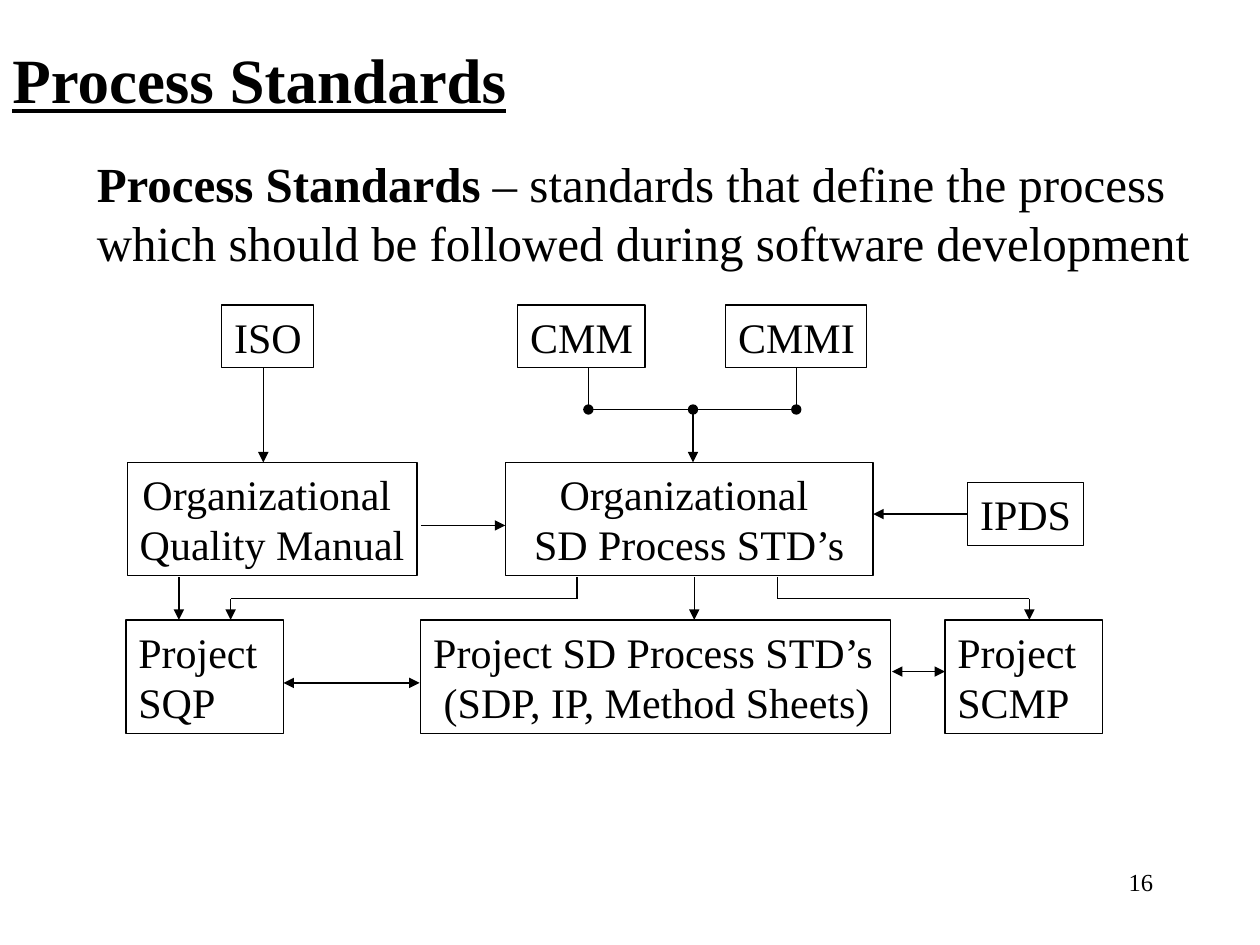
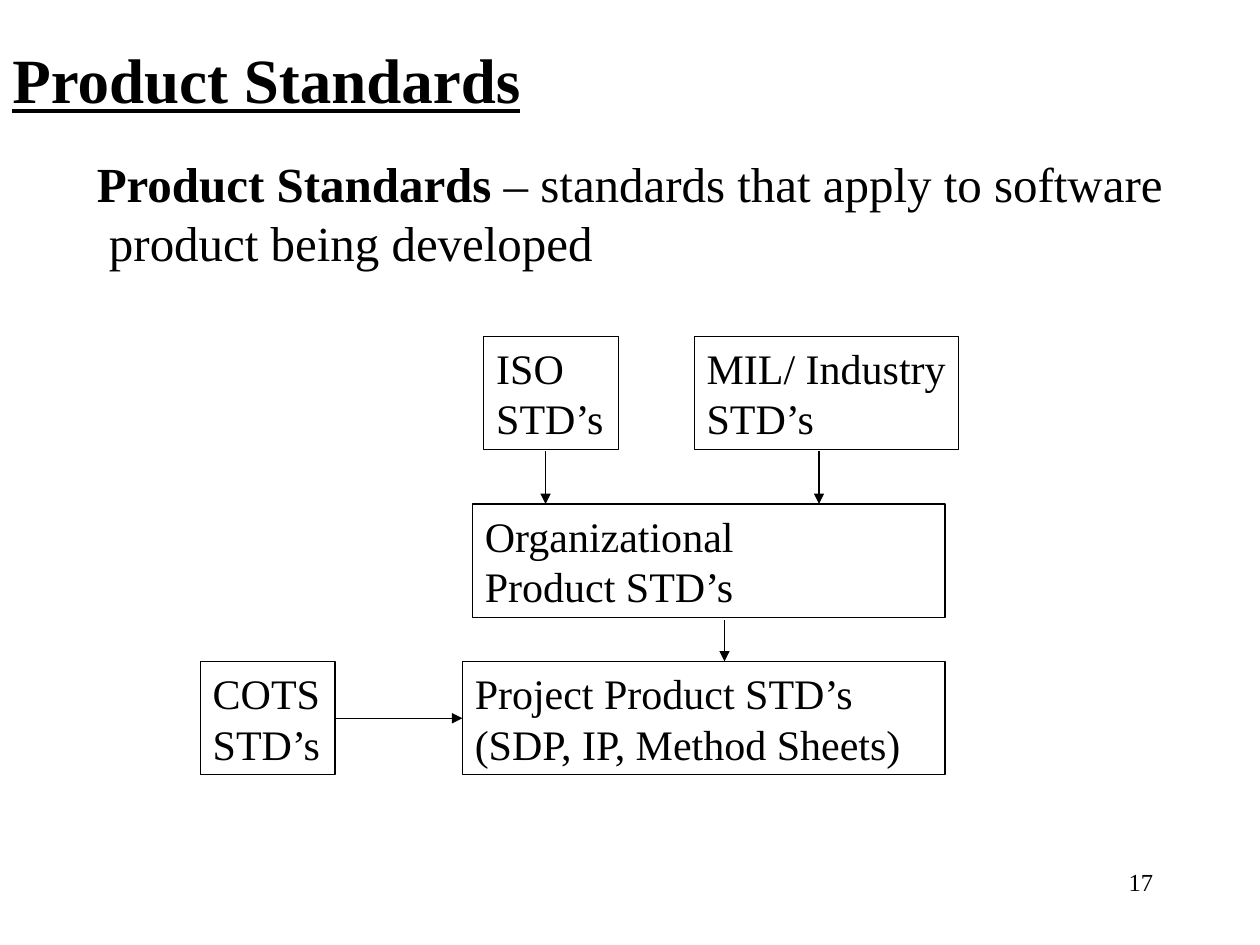
from itertools import pairwise

from lxml import etree
from pptx import Presentation
from pptx.dml.color import RGBColor
from pptx.enum import shapes as kinds, text as txt
from pptx.oxml import ns
from pptx.util import Inches, Pt

FONT = "Times New Roman"
INK = "000000"
LEFT, MID, RIGHT = txt.PP_ALIGN.LEFT, txt.PP_ALIGN.CENTER, txt.PP_ALIGN.RIGHT
ARROW, DOT = "triangle", "oval"


def color(code):
    return RGBColor.from_string(code)


def write(shape, lines, size, align=LEFT, wrap=True):
    """Fill a shape with paragraphs, each a list of (text, bold) runs."""
    frame = shape.text_frame
    frame.word_wrap = wrap
    for i, runs in enumerate(lines):
        para = frame.paragraphs[0] if i == 0 else frame.add_paragraph()
        para.alignment = align
        for words, bold in runs:
            run = para.add_run()
            run.text = words
            font = run.font
            font.name, font.size, font.bold = FONT, Pt(size), bold
            font.color.rgb = color(INK)
    return frame


def label(slide, place, lines, size, align=LEFT, wrap=True):
    area = slide.shapes.add_textbox(*map(Inches, place))
    return write(area, lines, size, align, wrap)


def box(slide, place, *lines, align=LEFT, wrap=False):
    """Draw an outlined box; tight boxes do not wrap."""
    shape = slide.shapes.add_shape(kinds.MSO_SHAPE.RECTANGLE,
                                   *map(Inches, place))
    shape.shadow.inherit = False
    shape.fill.background()
    shape.line.color.rgb = color(INK)
    shape.line.width = Pt(0.75)
    frame = write(shape, [[(line, False)] for line in lines], 24, align, wrap)
    frame.vertical_anchor = txt.MSO_ANCHOR.TOP
    return shape


def link(slide, start, end, head=None, tail=None):
    line = slide.shapes.add_connector(kinds.MSO_CONNECTOR.STRAIGHT,
                                      *map(Inches, start + end))
    line.line.color.rgb = color(INK)
    line.line.width = Pt(0.75)
    stroke = line.line._get_or_add_ln()
    for tag, form in (("a:headEnd", head), ("a:tailEnd", tail)):
        if form:
            etree.SubElement(stroke, ns.qn(tag), type=form)
    etree.SubElement(line._element.spPr, ns.qn("a:effectLst"))
    return line


def route(slide, *points):
    """Draw a bent line with an arrow at its last point."""
    legs = list(pairwise(points))
    for leg in legs:
        link(slide, *leg, tail=ARROW if leg == legs[-1] else None)


def drop(slide, x, top, end):
    route(slide, (x, top), (x, end))


def page(deck, number, topic, first, second):
    """Add a slide with its title, definition and number."""
    slide = deck.slides.add_slide(deck.slide_layouts[6])
    label(slide, (7.17, 6.83, 2.08, 0.5), [[(number, False)]], 14, RIGHT)
    title = label(slide, (0, 0, 8.5, 1.25), [[(topic, True)]], 36)
    title.vertical_anchor = txt.MSO_ANCHOR.MIDDLE
    title.paragraphs[0].runs[0].font.underline = True
    label(slide, (0.67, 1.17, 8.87, 1.04),
          [[(topic, True), (first, False)], [(second, False)]], 28)
    return slide


def process(deck):
    slide = page(deck, "16", "Process Standards",
                 " – standards that define the process",
                 "which should be followed during software development")
    top, mid, low, tall = 2.42, 3.67, 4.92, 0.9
    bus, under, bend = 3.25, 4.58, 4.75

    box(slide, (1.76, top, 0.73, 0.5), "ISO")
    box(slide, (4.11, top, 1.01, 0.5), "CMM")
    cmmi = box(slide, (5.76, top, 1.12, 0.5), "CMMI")
    box(slide, (1.01, mid, 2.3, tall), "Organizational ", "Quality Manual",
        align=MID)
    box(slide, (4.01, mid, 2.92, tall), "Organizational ", "SD Process STD’s",
        align=MID, wrap=True)
    ipds = box(slide, (7.68, 3.83, 0.92, 0.5), "IPDS")
    box(slide, (1, low, 1.25, tall), "Project SQP", wrap=True)
    box(slide, (3.34, low, 3.73, tall), "Project SD Process STD’s",
        " (SDP, IP, Method Sheets)")
    box(slide, (7.5, low, 1.25, tall), "Project SCMP", wrap=True)

    drop(slide, 2.09, 2.92, mid)
    link(slide, (4.67, 2.92), (4.67, bus), tail=DOT)
    link(slide, (6.32, 2.92), (6.32, bus), tail=DOT).begin_connect(cmmi, 2)
    link(slide, (4.67, bus), (6.32, bus))
    link(slide, (5.5, bus), (5.5, mid), DOT, ARROW)
    link(slide, (3.34, 4.17), (4.01, 4.17), tail=ARROW)
    link(slide, (7.68, 4.08), (6.93, 4.08), tail=ARROW).begin_connect(ipds, 1)

    for x in (1.42, 5.51):
        drop(slide, x, under, low)
    for start, end in ((4.58, 1.83), (6.17, 8.17)):
        route(slide, (start, under), (start, bend), (end, bend), (end, low))
    for start, end, y in ((2.25, 3.33, 5.42), (7.08, 7.5, 5.33)):
        link(slide, (start, y), (end, y), ARROW, ARROW)


def product(deck):
    slide = page(deck, "17", "Product Standards",
                 " – standards that apply to software",
                 " product being developed")
    top, mid, low, tall = 2.67, 4, 5.25, 0.9

    box(slide, (3.84, top, 1.07, tall), "ISO", "STD’s")
    box(slide, (5.51, top, 2.1, tall), "MIL/ Industry", "STD’s")
    box(slide, (3.75, mid, 3.75, tall), "Organizational", "Product STD’s",
        wrap=True)
    cots = box(slide, (1.59, low, 1.07, tall), "COTS", "STD’s")
    project = box(slide, (3.67, low, 3.83, tall),
                  "Project Product STD’s (SDP, IP, Method Sheets)", wrap=True)

    for x in (4.33, 6.5):
        drop(slide, x, 3.58, mid)
    drop(slide, 5.75, 4.92, low)
    feed = link(slide, (2.66, 5.7), (3.67, 5.7), tail=ARROW)
    feed.begin_connect(cots, 3)
    feed.end_connect(project, 1)


def main():
    deck = Presentation()
    deck.slide_width, deck.slide_height = Inches(10), Inches(7.5)
    process(deck)
    product(deck)
    deck.save("out.pptx")


if __name__ == "__main__":
    main()
